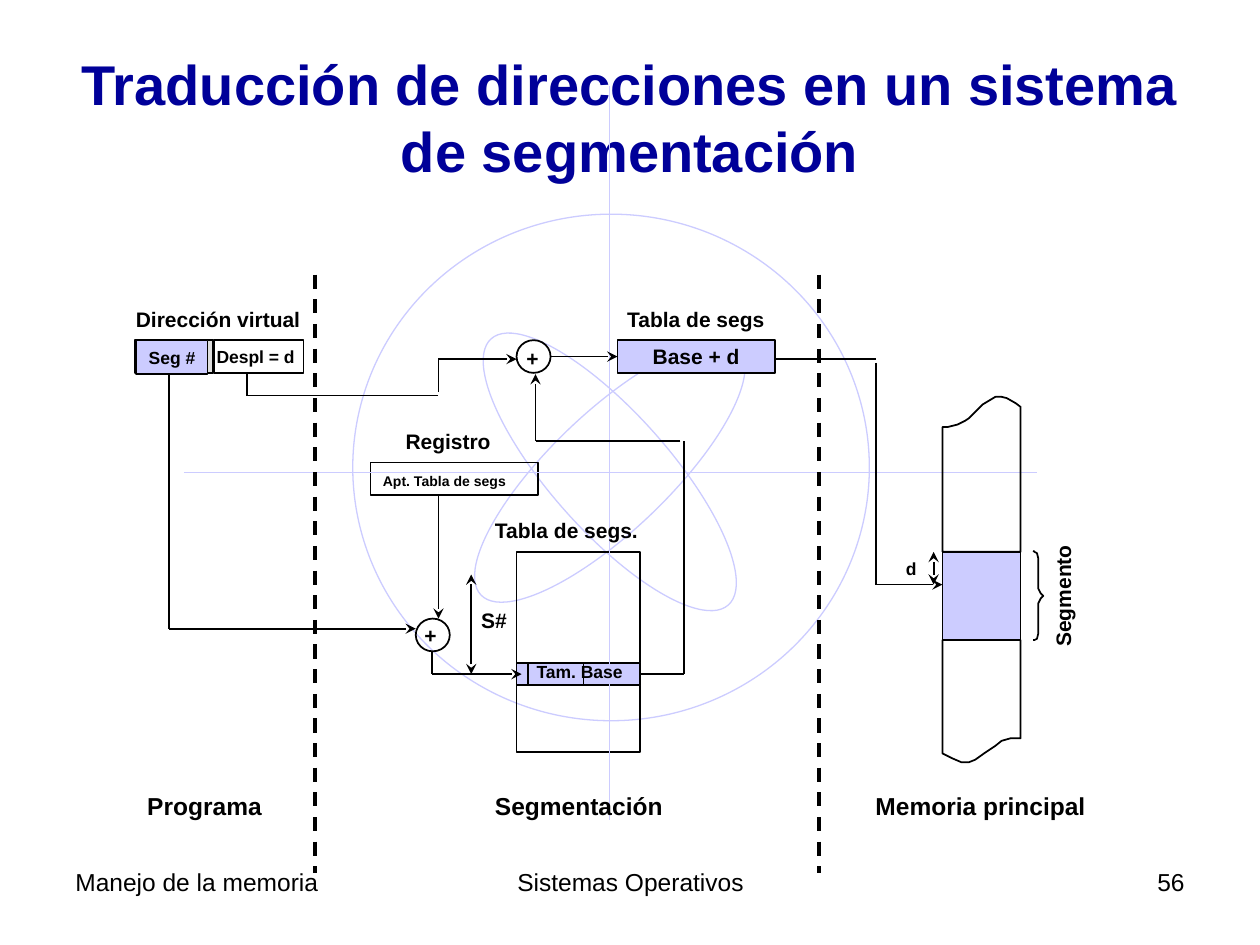
"""Build the slide on address translation in a segmented memory system."""
from dataclasses import dataclass
from itertools import pairwise

from lxml import etree
from pptx import Presentation
from pptx.dml.color import RGBColor
from pptx.enum.dml import MSO_LINE
from pptx.enum.shapes import MSO_CONNECTOR, MSO_SHAPE
from pptx.enum.text import MSO_ANCHOR, PP_ALIGN
from pptx.oxml.ns import qn
from pptx.shapes.autoshape import Shape
from pptx.slide import Slide
from pptx.text.text import TextFrame
from pptx.util import Inches, Pt

RECTANGLE, OVAL = MSO_SHAPE.RECTANGLE, MSO_SHAPE.OVAL
LEFT, CENTER, RIGHT = PP_ALIGN.LEFT, PP_ALIGN.CENTER, PP_ALIGN.RIGHT
MIDDLE, TOP = MSO_ANCHOR.MIDDLE, MSO_ANCHOR.TOP
STRAIGHT, DASH = MSO_CONNECTOR.STRAIGHT, MSO_LINE.DASH
FONT = "Arial"
BLACK, NAVY, LILAC, GRAY = "000000", "000099", "CCCCFF", "DDDDDD"
TITLE_LAYOUT = 5

Point = tuple[float, float]


@dataclass
class Box:
    left: float
    top: float
    width: float
    height: float
    fill: str | None = None
    text: str = ""
    size: float = 12
    kind: MSO_SHAPE = RECTANGLE
    line: str = BLACK
    weight: float = 1
    rotation: float = 0


@dataclass
class Route:
    points: list[Point]
    arrow_end: bool = False
    arrow_start: bool = False
    color: str = BLACK
    weight: float = 1
    dashed: bool = False


@dataclass
class Label:
    text: str
    left: float
    top: float
    width: float
    height: float = 0.3
    size: float = 12
    bold: bool = True
    align: PP_ALIGN = LEFT
    rotation: float = 0
    wrap: bool = False


ORBITS = [
    Box(2.8, 1.7, 4.1, 4.02, kind=OVAL, line=LILAC, weight=0.75),
    *(Box(4.37, 2.33, 0.94, 2.83, kind=OVAL, line=LILAC, weight=0.75, rotation=angle)
      for angle in (46.3, 318.3)),
]
AXES = [
    Route([(4.84, 0.68), (4.84, 6.51)], color=LILAC, weight=0.75),
    Route([(1.46, 3.75), (8.23, 3.75)], color=LILAC, weight=0.75),
]
DIVIDERS = [Route([(x, 2.18), (x, 6.93)], weight=2, dashed=True) for x in (2.5, 6.5)]
BOXES = [
    Box(4.1, 4.38, 0.98, 1.59),
    Box(1.07, 2.7, 0.62, 0.26, GRAY),
    Box(1.7, 2.7, 0.71, 0.26),
    Box(2.94, 3.67, 1.33, 0.26),
    Box(4.1, 5.26, 0.98, 0.18, LILAC),
    Box(4.9, 2.7, 1.25, 0.26, LILAC, "Base + d"),
    Box(7.48, 4.38, 0.62, 0.7, LILAC),
    Box(1.08, 2.7, 0.57, 0.27, LILAC, "Seg #", 10, weight=0.75),
    Box(3.3, 4.91, 0.27, 0.26, kind=OVAL),
    Box(4.1, 2.7, 0.27, 0.26, kind=OVAL),
]
ROUTES = [
    Route([(1.34, 2.97), (1.34, 4.99), (3.3, 4.99)], True),
    Route([(3.48, 3.94), (3.48, 4.91)], True),
    Route([(3.43, 5.17), (3.43, 5.35), (4.14, 5.35)], True),
    Route([(3.74, 5.35), (3.74, 4.56)], True, True),
    Route([(1.96, 2.97), (1.96, 3.14), (3.48, 3.14)]),
    Route([(3.48, 3.11), (3.48, 2.85), (4.1, 2.85)], True),
    Route([(4.37, 2.83), (4.9, 2.83)], True),
    Route([(5.08, 5.35), (5.43, 5.35), (5.43, 3.5)]),
    Route([(5.4, 3.5), (4.25, 3.5), (4.25, 2.97)], True),
    Route([(6.15, 2.85), (6.95, 2.85)]),
    Route([(6.95, 2.88), (6.95, 4.64), (7.48, 4.64)], True),
    Route([(7.41, 4.64), (7.41, 4.38)], True, True),
    Route([(4.19, 5.26), (4.19, 5.44)]),
    Route([(4.63, 5.26), (4.63, 5.43)]),
]
MEMORY_BOTTOM = [
    (7.48, 5.98), (7.56, 6.02), (7.63, 6.05), (7.69, 6.05), (7.74, 6.03), (7.81, 5.98),
    (7.9, 5.92), (7.95, 5.88), (8.02, 5.86), (8.1, 5.86), (8.1, 5.08), (7.48, 5.08),
]
MEMORY_TOP = [
    (8.1, 3.23), (8.06, 3.2), (7.99, 3.16), (7.95, 3.15), (7.9, 3.15), (7.85, 3.18),
    (7.8, 3.21), (7.76, 3.25), (7.69, 3.32), (7.66, 3.34), (7.6, 3.37), (7.52, 3.39),
    (7.48, 3.39), (7.48, 4.38), (8.1, 4.38),
]
BRACE = [
    (8.2, 4.37), (8.21, 4.38), (8.23, 4.39), (8.24, 4.43), (8.24, 4.67), (8.26, 4.71),
    (8.28, 4.73), (8.26, 4.75), (8.24, 4.79), (8.24, 5.03), (8.23, 5.07), (8.21, 5.08),
    (8.2, 5.08),
]
LABELS = [
    Label("Programa", 1.07, 6.23, 1.11, 0.33, 14),
    Label("Segmentación", 3.83, 6.23, 1.54, 0.33, 14),
    Label("Memoria principal", 6.85, 6.23, 1.87, 0.33, 14),
    Label("Dirección virtual", 0.98, 2.38, 1.51),
    Label("Tabla de segs", 4.88, 2.38, 1.3),
    Label("Registro", 3.12, 3.35, 0.88),
    Label("Tabla de segs.", 3.83, 4.06, 1.35),
    Label("Segmento", 7.93, 4.58, 1.01, align=CENTER, rotation=270),
    Label("S#", 3.72, 4.77, 0.41),
    Label("+", 3.27, 4.89, 0.3),
    Label("+", 4.08, 2.69, 0.3),
    Label("d", 7.09, 4.38, 0.29, 0.27, 10),
    Label("Tam. Base", 4.16, 5.2, 0.89, 0.27, 10),
    Label("Despl = d", 1.62, 2.7, 0.82, 0.27, 10),
    Label("Apt. Tabla de segs", 2.94, 3.7, 1.33, 0.23, 8, wrap=True),
    Label("Manejo de la memoria", 0.5, 6.83, 2.33, 0.52, 14, False, wrap=True),
    Label("Sistemas Operativos", 3.42, 6.83, 3.17, 0.52, 14, False, CENTER, wrap=True),
    Label("56", 7.17, 6.83, 2.33, 0.52, 14, False, RIGHT, wrap=True),
]


def rgb(color: str) -> RGBColor:
    return RGBColor.from_string(color)


def write(frame: TextFrame, text: str, size: float, bold: bool = True,
          align: PP_ALIGN = CENTER, color: str = BLACK, wrap: bool = False,
          anchor: MSO_ANCHOR = MIDDLE) -> None:
    frame.text = text
    frame.word_wrap = wrap
    frame.vertical_anchor = anchor
    paragraph = frame.paragraphs[0]
    paragraph.alignment = align
    font = paragraph.font
    font.name, font.size, font.bold = FONT, Pt(size), bold
    font.color.rgb = rgb(color)


def style(shape: Shape, fill: str | None = None, line: str = BLACK, weight: float = 1) -> None:
    shape.shadow.inherit = False
    if fill:
        shape.fill.solid()
        shape.fill.fore_color.rgb = rgb(fill)
    else:
        shape.fill.background()
    shape.line.color.rgb = rgb(line)
    shape.line.width = Pt(weight)


def draw_box(slide: Slide, box: Box) -> None:
    shape = slide.shapes.add_shape(box.kind, Inches(box.left), Inches(box.top),
                                   Inches(box.width), Inches(box.height))
    shape.rotation = box.rotation
    style(shape, box.fill, box.line, box.weight)
    if box.text:
        write(shape.text_frame, box.text, box.size)


def draw_route(slide: Slide, route: Route) -> None:
    last = len(route.points) - 2
    for index, (start, end) in enumerate(pairwise(route.points)):
        connector = slide.shapes.add_connector(STRAIGHT, *map(Inches, start + end))
        connector.line.color.rgb = rgb(route.color)
        connector.line.width = Pt(route.weight)
        if route.dashed:
            connector.line.dash_style = DASH
        properties = connector.line._get_or_add_ln()
        if route.arrow_start and index == 0:
            etree.SubElement(properties, qn("a:headEnd"), type="stealth")
        if route.arrow_end and index == last:
            etree.SubElement(properties, qn("a:tailEnd"), type="stealth")
        etree.SubElement(connector._element.spPr, qn("a:effectLst"))


def draw_outline(slide: Slide, points: list[Point], close: bool = True) -> None:
    start, *others = [(Inches(x), Inches(y)) for x, y in points]
    builder = slide.shapes.build_freeform(*start)
    builder.add_line_segments(others, close=close)
    style(builder.convert_to_shape())


def draw_label(slide: Slide, label: Label) -> None:
    shape = slide.shapes.add_textbox(Inches(label.left), Inches(label.top),
                                     Inches(label.width), Inches(label.height))
    shape.rotation = label.rotation
    write(shape.text_frame, label.text, label.size, label.bold, label.align,
          wrap=label.wrap, anchor=TOP)


def main() -> None:
    presentation = Presentation()
    presentation.slide_width, presentation.slide_height = Inches(10), Inches(7.5)
    slide = presentation.slides.add_slide(presentation.slide_layouts[TITLE_LAYOUT])
    title = slide.shapes.title
    title.left, title.top, title.width, title.height = map(Inches, (0.5, 0.3, 9, 1.25))
    write(title.text_frame, "Traducción de direcciones en un sistema de segmentación",
          32, color=NAVY, wrap=True)
    for box in ORBITS + BOXES:
        draw_box(slide, box)
    for route in AXES + DIVIDERS + ROUTES:
        draw_route(slide, route)
    draw_outline(slide, MEMORY_BOTTOM)
    draw_outline(slide, MEMORY_TOP)
    draw_outline(slide, BRACE, close=False)
    for label in LABELS:
        draw_label(slide, label)
    presentation.save("out.pptx")


if __name__ == "__main__":
    main()
